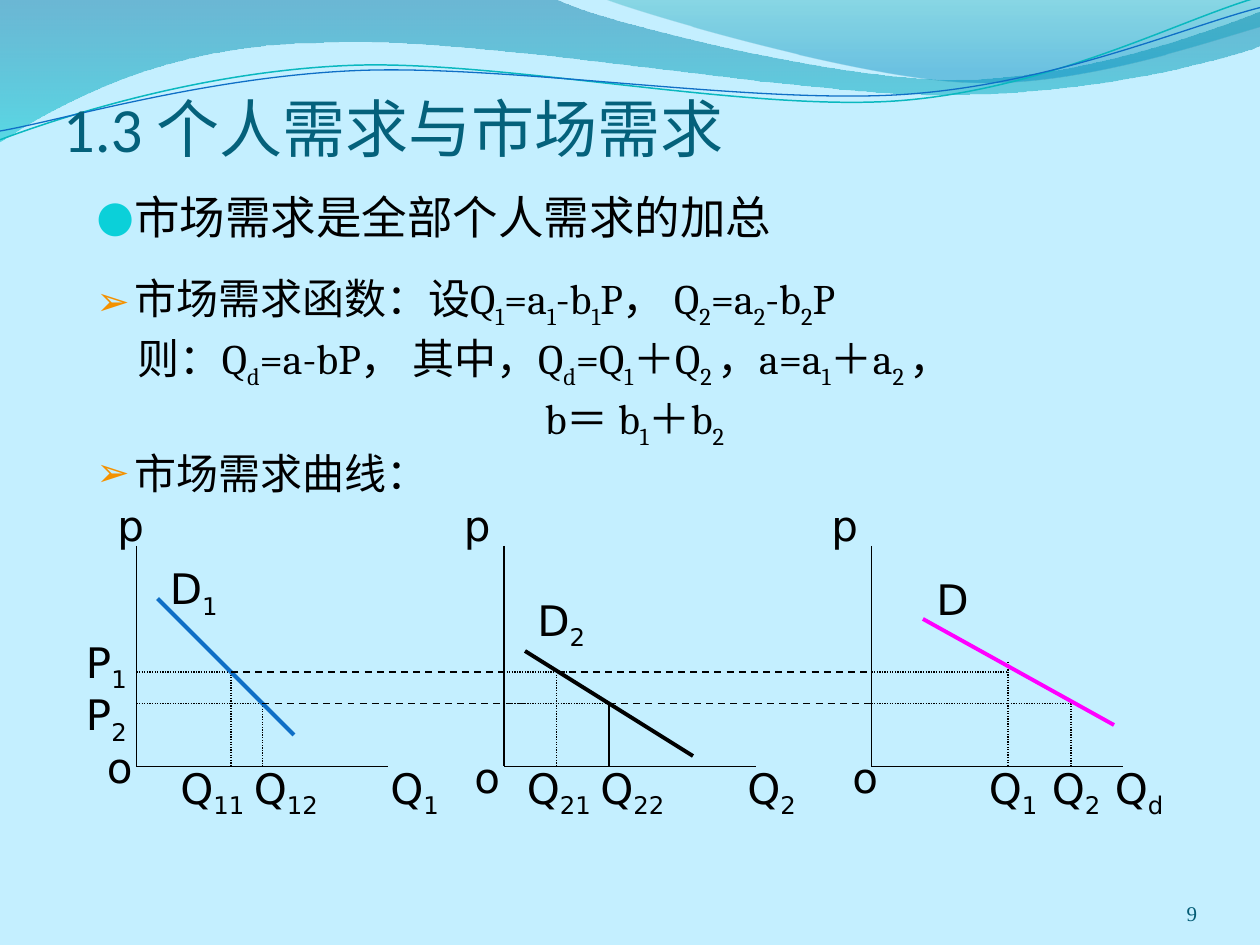
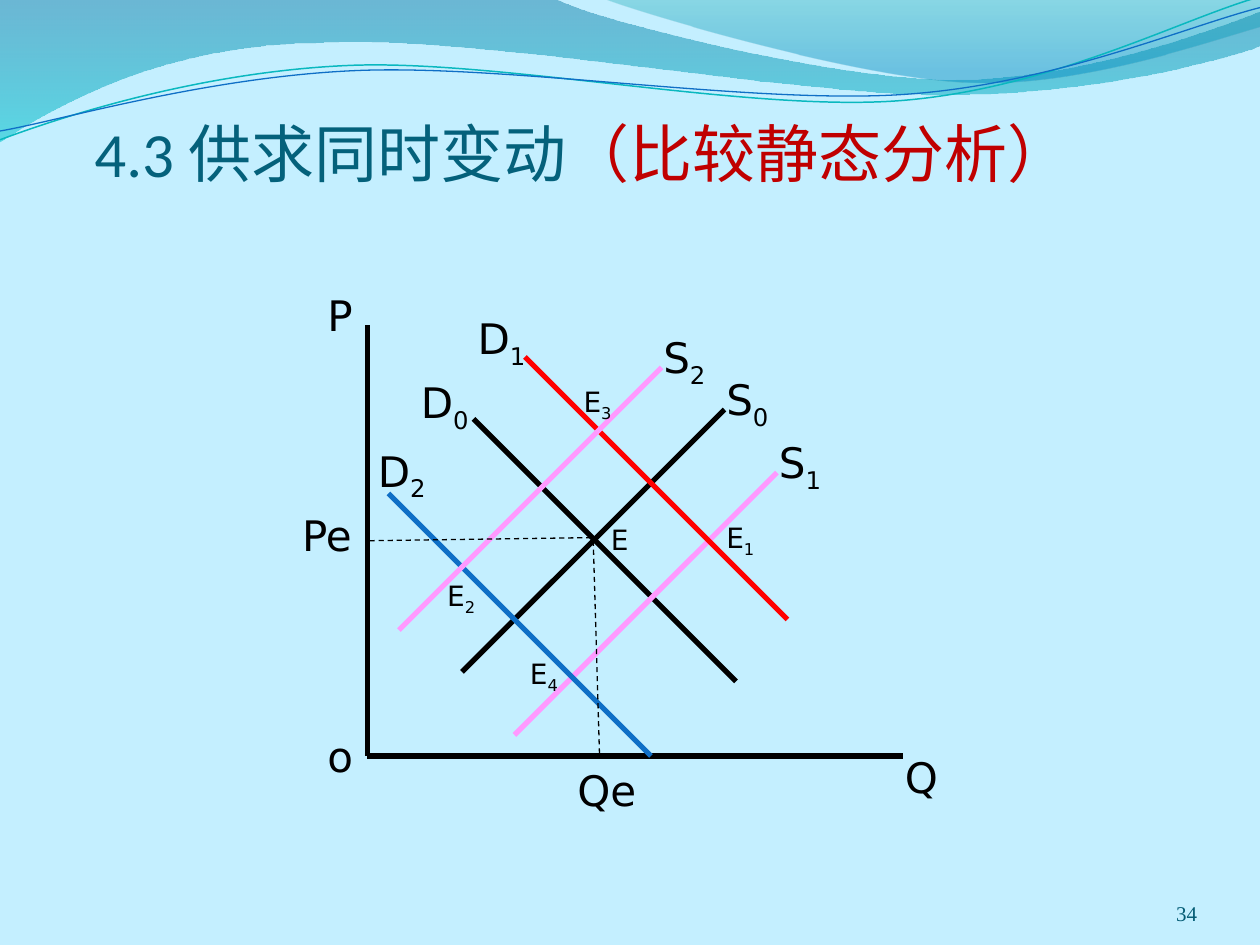
import math
import pptx
import pptx.dml.color
import pptx.enum.dml
import pptx.enum.shapes
import pptx.enum.text
import pptx.oxml.ns
import pptx.util
import lxml.etree

# Shared grid: 120 columns by 90 rows
WIDE, HIGH = pptx.util.Inches(10), pptx.util.Inches(7.5)
COL, ROW = WIDE / 120, HIGH / 90

# Shared looks
BACK, INK, HEAD, FOOT = "C4EFFF", "000000", "04617B", "045C75"
BLUE, PINK, RED = "0F6FC6", "FF99FF", "FF0000"
SANS, SERIF, HAN = "DejaVu Sans", "Cambria", "Noto Sans CJK SC"
DOT = pptx.enum.dml.MSO_LINE.ROUND_DOT
DASH = pptx.enum.dml.MSO_LINE.DASH
LOW = pptx.enum.text.MSO_ANCHOR.BOTTOM
TOP = pptx.enum.text.MSO_ANCHOR.TOP
RIGHT = pptx.enum.text.PP_ALIGN.RIGHT

# Bands: box, then start point, cubic curves (6 numbers) and lines (2), in inches
BANDS = [
    ((-0.01, -0.01, 10.02, 1.14),
     [(0, -0.01), (4.4, -0.01), (4.76, 0.17, 6.64, 0.63, 7.58, 0.63),
      (8.53, 0.63, 9.58, 0.26, 10, 0.09), (10.01, 0.36),
      (9.83, 0.44, 8.7, 0.76, 7.46, 0.75), (6.22, 0.75, 3.82, 0.28, 2.57, 0.34),
      (1.29, 0.35, 0.46, 0.83, -0.01, 1.13), (0, -0.01)],
     [(0, "0074A1", 45), (100, "00C6CF", 55)]),
    ((4.79, -0.01, 5.21, 0.7),
     [(4.79, -0.01), (5.09, 0.11, 6.82, 0.62, 7.69, 0.65),
      (8.56, 0.69, 9.61, 0.32, 10, 0.21), (10, 0), (4.79, -0.01)],
     [(0, "00A1A9", 30), (80, "008BBF", 45)]),
]
TILT = 2.7
WAVES = [
    ((-0.02, 0.22, 10.02, 0.71),
     [(0, 1.11), (0.48, 0.93, 1.58, 0.57, 2.77, 0.52),
      (3.95, 0.47, 5.93, 0.89, 7.13, 0.8), (8.33, 0.71, 9.38, 0.15, 9.98, -0.02)],
     "0AB8BF", 0.85),
    ((-0.02, 0.3, 10.03, 0.58),
     [(0, 1.04), (0.47, 0.96, 1.64, 0.61, 2.83, 0.56),
      (4.03, 0.51, 5.97, 0.83, 7.17, 0.75), (8.36, 0.67, 9.41, 0.21, 10, 0.06)],
     BLUE, 0.75),
]


def color(code):
    return pptx.dml.color.RGBColor.from_string(code)


def node(parent, tag, **attrs):
    item = lxml.etree.SubElement(parent, pptx.oxml.ns.qn(tag))
    for key, value in attrs.items():
        item.set(key, str(value))
    return item


# Text helpers
def add_runs(para, text, size, font, code=INK):
    """Add text run by run; parts in [brackets] are subscripts."""
    for turn, part in enumerate(text.replace("]", "[").split("[")):
        if not part:
            continue
        run = para.add_run()
        run.text = part
        run.font.size = pptx.util.Pt(size)
        run.font.name = font
        run.font.color.rgb = color(code)
        props = run._r.get_or_add_rPr()
        node(props, "a:ea", typeface=HAN)
        if turn % 2:
            props.set("baseline", "-25000")


def add_box(slide, box, pads=(0.1, 0.05, 0.1, 0.05), anchor=TOP):
    left, top, width, height = box
    shape = slide.shapes.add_textbox(
        round(left * COL), round(top * ROW), round(width * COL), round(height * ROW))
    frame = shape.text_frame
    frame.word_wrap = True
    frame.vertical_anchor = anchor
    (frame.margin_left, frame.margin_top,
     frame.margin_right, frame.margin_bottom) = map(pptx.util.Inches, pads)
    return frame


def add_label(slide, origin, text, col, row, width=10, size=24):
    box = (origin[0] + col, origin[1] + row, width, 1.2 + size / 5)
    add_runs(add_box(slide, box).paragraphs[0], text, size, SANS)


# Line helpers
def add_line(slide, origin, ends, code=INK, weight=0.75, dash=None):
    x, y = origin
    x1, y1, x2, y2 = ends
    line = slide.shapes.add_connector(
        pptx.enum.shapes.MSO_CONNECTOR.STRAIGHT,
        round((x + x1) * COL), round((y + y1) * ROW),
        round((x + x2) * COL), round((y + y2) * ROW))
    line.line.color.rgb = color(code)
    line.line.width = pptx.util.Pt(weight)
    if dash:
        line.line.dash_style = dash
    node(line._element.spPr, "a:effectLst")


def add_path(shapes, box, steps, tilt=0):
    """Draw lines and cubic curves in a box that is turned back by tilt degrees."""
    left, top, width, height = box
    pen = shapes.build_freeform(pptx.util.Inches(left), pptx.util.Inches(top))
    pen.add_line_segments([(pptx.util.Inches(left + width),
                            pptx.util.Inches(top + height))], close=False)
    shape = pen.convert_to_shape()
    shape.shadow.inherit = False
    shape.fill.background()
    shape.rotation = -tilt % 360
    route = shape._element.spPr.find(".//" + pptx.oxml.ns.qn("a:path"))
    for child in list(route):
        route.remove(child)
    sin, cos = math.sin(math.radians(tilt)), math.cos(math.radians(tilt))
    for turn, step in enumerate(steps):
        tag = "a:cubicBezTo" if len(step) == 6 else "a:lnTo" if turn else "a:moveTo"
        part = node(route, tag)
        for x, y in zip(step[::2], step[1::2]):
            dx, dy = x - left - width / 2, y - top - height / 2
            node(part, "a:pt",
                 x=pptx.util.Inches(width / 2 + dx * cos - dy * sin),
                 y=pptx.util.Inches(height / 2 + dx * sin + dy * cos))
    if steps[0] == steps[-1]:
        node(route, "a:close")
    return shape


# Slide frame
def add_bands(slide):
    for box, steps, stops in BANDS:
        shape = add_path(slide.shapes, box, steps)
        shape.line.fill.background()
        props = shape._element.spPr
        grad = node(props, "a:gradFill", rotWithShape=1)
        props.replace(props.find(pptx.oxml.ns.qn("a:noFill")), grad)
        stack = node(grad, "a:gsLst")
        for place, code, alpha in stops:
            stop = node(stack, "a:gs", pos=place * 1000)
            node(node(stop, "a:srgbClr", val=code), "a:alpha", val=alpha * 1000)
        node(grad, "a:lin", ang=5400000, scaled=0)
    group = slide.shapes.add_group_shape()
    for box, steps, code, weight in WAVES:
        shape = add_path(group.shapes, box, steps, TILT)
        shape.line.color.rgb = color(code)
        shape.line.width = pptx.util.Pt(weight)


def add_frame(deck, number, box, titles):
    slide = deck.slides.add_slide(deck.slide_layouts[6])
    slide.background.fill.solid()
    slide.background.fill.fore_color.rgb = color(BACK)
    add_bands(slide)
    foot = add_box(slide, (104, 83.4, 10, 4.8), (0, 0, 0, 0), LOW).paragraphs[0]
    foot.alignment = RIGHT
    add_runs(foot, number, 12, "Times New Roman", FOOT)
    para = add_box(slide, box, (0, 0.05, 0, 0), LOW).paragraphs[0]
    for text, code in titles:
        add_runs(para, text, 36, "Calibri", code)
    return slide


# Bulleted text: bullet, its colour, indent, line height, space before, size, font, text
POINTS = [
    ("●", "0BD0D9", 0.3, 27.8, 0, 26, HAN, "市场需求是全部个人需求的加总"),
    ("➢", "F49100", 0.3, 34.3, 15, 24, SERIF,
     "市场需求函数：设Q[1]=a[1]-b[1]P， Q[2]=a[2]-b[2]P"),
    (None, None, 0.3, 34.3, 0, 24, SERIF,
     "\u3000则：Q[d]=a-bP， 其中，Q[d]=Q[1]＋Q[2 ]，a=a[1]＋a[2 ]，".strip()),
    (None, None, 3.56, 34.3, 0, 24, SERIF, "b＝ b[1]＋b[2]"),
    ("➢", "F49100", 0.3, 27.2, 0, 24, SERIF, "市场需求曲线："),
]
POINTS[2] = POINTS[2][:2] + (0.33,) + POINTS[2][3:]


def add_points(slide, box):
    frame = add_box(slide, box)
    for turn, (mark, tint, indent, height, gap, size, font, text) in enumerate(POINTS):
        para = frame.add_paragraph() if turn else frame.paragraphs[0]
        para.line_spacing = pptx.util.Pt(height)
        para.space_before = pptx.util.Pt(gap)
        props = para._p.get_or_add_pPr()
        props.set("marL", str(pptx.util.Inches(indent)))
        if mark:
            props.set("indent", str(-pptx.util.Inches(indent)))
            node(node(props, "a:buClr"), "a:srgbClr", val=tint)
            node(props, "a:buSzPct", val=95000)
            node(props, "a:buFont", typeface=SANS)
            node(props, "a:buChar", char=mark)
        add_runs(para, text, size, font)


# Demand panels: curve, colour, (quantity, dots' end, drop's top, weight, dash), labels
PANELS = [
    ((2, -16, 15, -3), BLUE,
     [(9, 9, -9, 0.75, DOT), (12, 12, -6, 0.75, DOT)],
     [("p", -3, -26), ("D[1]", 2, -20), ("P[1]", -6, -13), ("P[2]", -6, -8),
      ("o", -4, -3, 5), ("Q[11]", 3, -1), ("Q[12]", 10, -1), ("Q[1]", 23, -1)]),
    ((2, -11, 18, -1), INK,
     [(5, 6, -9, 0.75, DOT), (10, 10, -6, 1, None)],
     [("p", -5, -26), ("D[2]", 2, -17), ("o", -4, -2, 5), ("Q[21]", 1, -1),
      ("Q[22]", 8, -1), ("Q[2]", 22, -1)]),
    ((4.9, -14.05, 23.1, -3.95), "FF00FF",
     [(13, 13, -10, 0.75, DOT), (19, 19, -6, 0.75, DOT)],
     [("p", -5, -26), ("D", 5, -19), ("o", -3, -2, 5), ("Q[1]", 10, -1),
      ("Q[2]", 16, -1), ("Q[d]", 22, -1)]),
]
PRICES = (-9, -6)


def add_panel(slide, origin, curve, code, drops, labels):
    add_line(slide, origin, (0, -21, 0, 0))
    add_line(slide, origin, (0, 0, 24, 0))
    for price, (spot, end, top, weight, dash) in zip(PRICES, drops):
        add_line(slide, origin, (0, price, end, price), dash=DOT)
        add_line(slide, origin, (spot, top, spot, 0), weight=weight, dash=dash)
    add_line(slide, origin, curve, code, 2.25)
    for label in labels:
        add_label(slide, origin, *label)


def add_market(slide, origin, step):
    x, y = origin
    for turn, panel in enumerate(PANELS):
        add_panel(slide, (x + turn * step, y), *panel)
    # Price levels carried from panel to panel
    for ends in ((9, -9, 35, -9), (12, -6, 37, -6), (40, -9, 70, -9), (45, -6, 70, -6)):
        add_line(slide, origin, ends, weight=1, dash=DASH)


# Supply and demand: start column and row, rise per column, colour
SHIFTS = [
    (10.1, -32.1, 1, INK), (9, -8, -1, INK), (14, -2, -1, PINK),
    (15, -38, 1, RED), (2, -25, 1, BLUE), (3, -12, -1, PINK),
]
# Labels: text, column, row, width, size
NAMES = [
    ("o", -5, -3, 7), ("Q", 50, -1, 7), ("P", -5, -45, 7), ("Pe", -7.4, -24.1, 11),
    ("Qe", 18.8, 0.2, 11), ("S[0]", 33, -37, 12), ("S[1]", 38, -31, 12),
    ("S[2]", 27, -41, 12), ("D[0]", 3.9, -36.7, 12), ("D[1]", 9.3, -42.8, 12),
    ("D[2]", -0.2, -30.2, 9.1), ("E", 22, -22.8, 4, 16), ("E[1]", 33, -23, 6, 16),
    ("E[2]", 6.4, -17.5, 5.9, 16), ("E[3]", 19.4, -36, 6.5, 16),
    ("E[4]", 14.3, -10.1, 6, 16),
]


def add_cross(slide, origin, span=25):
    add_line(slide, origin, (0, -41, 0, 0), weight=3)
    add_line(slide, origin, (0, 0, 51, 0), weight=3)
    for col, row, slope, code in SHIFTS:
        add_line(slide, origin, (col, row, col + span, row + slope * span), code, 3)
    for ends in ((0.2, -20.5, 21.5, -20.8), (21.5, -20.5, 22.1, 0)):
        add_line(slide, origin, ends, dash=DASH)
    for name in NAMES:
        add_label(slide, origin, *name)


def main():
    deck = pptx.Presentation()
    deck.slide_width, deck.slide_height = WIDE, HIGH

    slide = add_frame(deck, "9", (6, 7.8, 102.7, 7.9), [("1.3 个人需求与市场需求", HEAD)])
    add_points(slide, (8, 18, 107, 59))
    add_market(slide, (13, 73), 35)

    slide = add_frame(deck, "34", (9, 10.2, 102, 7.9),
                      [("4.3 供求同时变动", HEAD), ("（比较静态分析）", "C00000")])
    add_cross(slide, (35, 72))

    deck.save("out.pptx")


if __name__ == "__main__":
    main()
